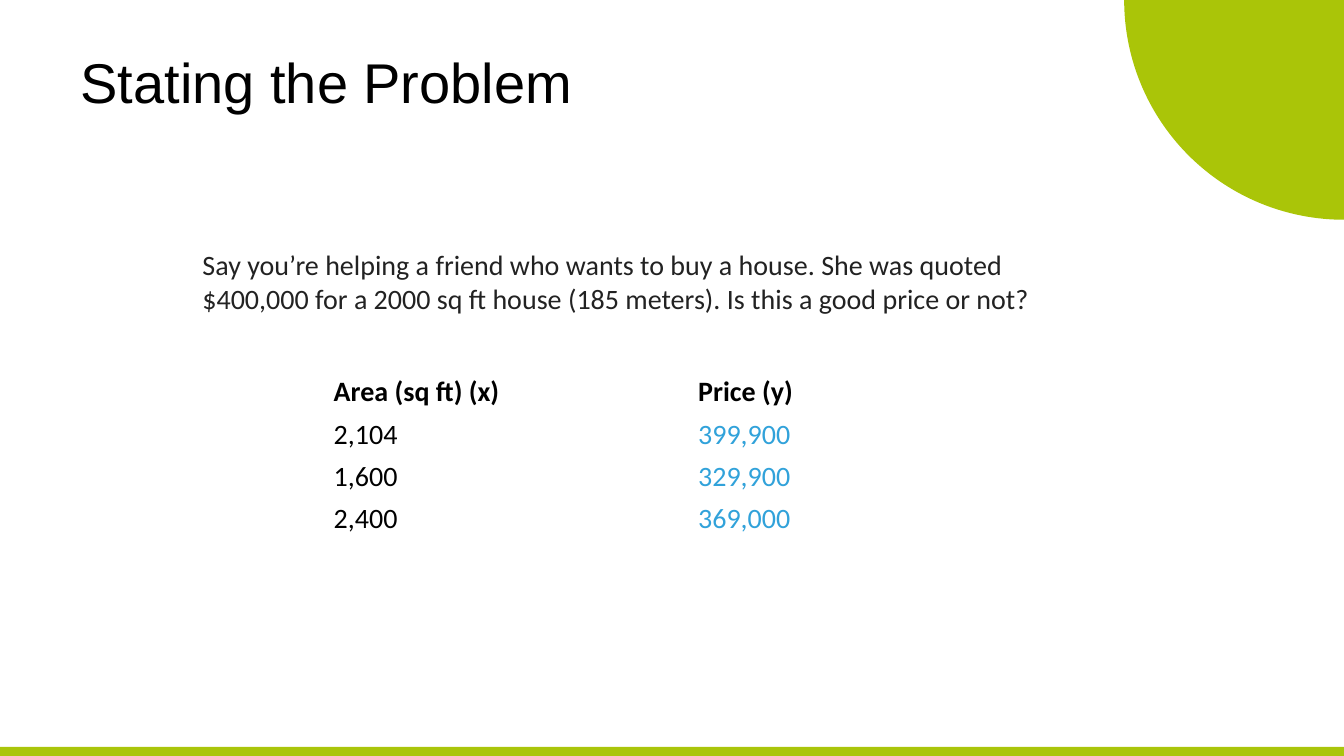
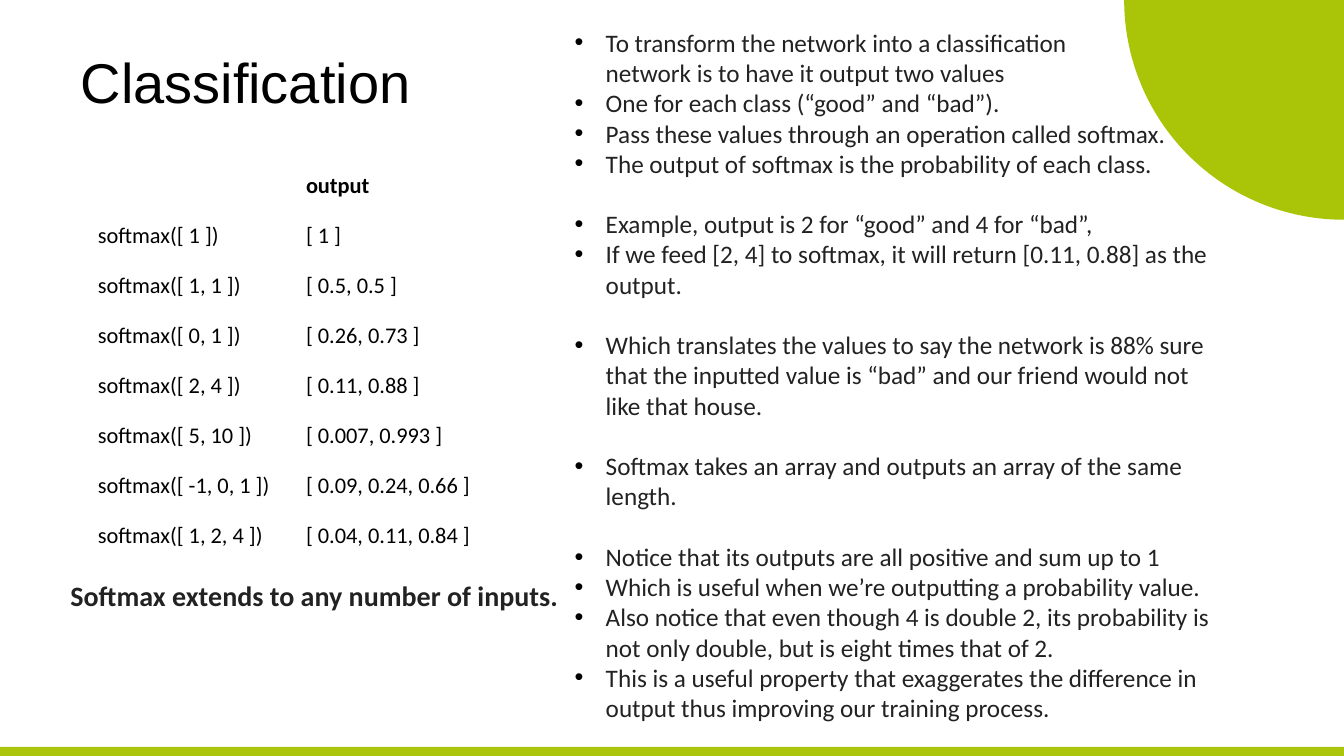
from pptx import Presentation
from pptx.dml.color import RGBColor
from pptx.enum.shapes import MSO_SHAPE
from pptx.enum.text import MSO_ANCHOR, PP_ALIGN
from pptx.oxml import parse_xml
from pptx.oxml.ns import nsdecls
from pptx.util import Inches, Pt

COLORS = {
    "band": "AAC50B",
    "corner": "AAC508",
    "black": "000000",
    "body": "222222",
    "price": "31A2DA",
}
TITLE_FONT = "Arial"
BODY_FONT = "Calibri"
RADIUS = 2.18

slide_specs = [
    {
        "title": "Stating the Problem",
        "table_box": (3.26, 3.68, 7.23, 1.67),
        "table_size": 20,
        "value_color": "price",
        "rows": [
            ("Area (sq ft) (x)", "Price (y)"),
            ("2,104", "399,900"),
            ("1,600", "329,900"),
            ("2,400", "369,000"),
        ],
        "text_box": (1.91, 2.41, 8.57, 0.77),
        "text": "Say you’re helping a friend who wants to buy a house. She was quoted "
                "$400,000 for a 2000 sq ft house (185 meters). Is this a good price or not?",
        "text_bold": False,
    },
    {
        "title": "Classification",
        "table_box": (0.92, 1.59, 4.13, 3.98),
        "table_size": 16,
        "value_color": "black",
        "rows": [
            ("", "output"),
            ("softmax([ 1 ])", "[ 1 ]"),
            ("softmax([ 1, 1 ])", "[ 0.5, 0.5 ]"),
            ("softmax([ 0, 1 ])", "[ 0.26, 0.73 ]"),
            ("softmax([ 2, 4 ])", "[ 0.11, 0.88 ]"),
            ("softmax([ 5, 10 ])", "[ 0.007, 0.993 ]"),
            ("softmax([ -1, 0, 1 ])", "[ 0.09, 0.24, 0.66 ]"),
            ("softmax([ 1, 2, 4 ])", "[ 0.04, 0.11, 0.84 ]"),
        ],
        "text_box": (0.6, 5.69, 5.11, 0.44),
        "text": "Softmax extends to any number of inputs.",
        "text_bold": True,
    },
]

bullet_groups = [
    [
        "To transform the network into a classification\nnetwork is to have it output two values",
        "One for each class (“good” and “bad”).",
        "Pass these values through an operation called softmax.",
        "The output of softmax is the probability of each class.",
    ],
    [
        "Example, output is 2 for “good” and 4 for “bad”,",
        "If we feed [2, 4] to softmax, it will return [0.11, 0.88] as the output.",
    ],
    [
        "Which translates the values to say the network is 88% sure that the inputted "
        "value is “bad” and our friend would not like that house.",
    ],
    ["Softmax takes an array and outputs an array of the same length."],
    [
        "Notice that its outputs are all positive and sum up to 1",
        "Which is useful when we’re outputting a probability value.",
        "Also notice that even though 4 is double 2, its probability is not only double, "
        "but is eight times that of 2.",
        "This is a useful property that exaggerates the difference in output thus "
        "improving our training process.",
    ],
]


def format_text(paragraph, size, color, bold=False, name=BODY_FONT):
    for run in paragraph.runs:
        run.font.name = name
        run.font.size = Pt(size)
        run.font.bold = bold
        run.font.color.rgb = RGBColor.from_string(COLORS[color])


def add_decoration(slide, kind, box, color):
    shape = slide.shapes.add_shape(kind, *map(Inches, box))
    shape.shadow.inherit = False
    shape.fill.solid()
    shape.fill.fore_color.rgb = RGBColor.from_string(COLORS[color])
    shape.line.fill.background()
    return shape


presentation = Presentation()
presentation.slide_width = Inches(13.33)
presentation.slide_height = Inches(7.5)

for content in slide_specs:
    slide = presentation.slides.add_slide(presentation.slide_layouts[5])

    title = slide.shapes.title
    title.left, title.top, title.width, title.height = map(Inches, (0.7, 0.42, 11.57, 1.5))
    title.text_frame.text = content["title"]
    title.text_frame.vertical_anchor = MSO_ANCHOR.TOP
    title_paragraph = title.text_frame.paragraphs[0]
    title_paragraph.alignment = PP_ALIGN.LEFT
    format_text(title_paragraph, 40, "black", name=TITLE_FONT)

    add_decoration(slide, MSO_SHAPE.RECTANGLE, (0, 7.41, 13.33, 0.09), "band")
    corner = add_decoration(
        slide, MSO_SHAPE.PIE, (13.33 - RADIUS, -RADIUS, 2 * RADIUS, 2 * RADIUS), "corner")
    corner.adjustments[0] = 54
    corner.adjustments[1] = 108

    rows = content["rows"]
    table = slide.shapes.add_table(
        len(rows), 2, *map(Inches, content["table_box"])).table
    table.first_row = False
    table.horz_banding = False
    for row_index, row in enumerate(rows):
        for column_index, value in enumerate(row):
            cell = table.cell(row_index, column_index)
            cell.fill.background()
            cell.vertical_anchor = MSO_ANCHOR.MIDDLE
            cell.margin_left = cell.margin_right = Inches(0.05)
            cell.margin_top = cell.margin_bottom = Inches(0.04)
            cell.text_frame.text = value
            is_header = row_index == 0
            is_value = column_index == 1 and not is_header
            format_text(cell.text_frame.paragraphs[0], content["table_size"],
                        content["value_color"] if is_value else "black", is_header)

    text_box = slide.shapes.add_textbox(*map(Inches, content["text_box"]))
    text_box.text_frame.word_wrap = not content["text_bold"]
    text_box.text_frame.text = content["text"]
    format_text(text_box.text_frame.paragraphs[0], 20, "body", content["text_bold"])

bullet_box = slide.shapes.add_textbox(*map(Inches, (5.6, 0.22, 6.67, 7.07)))
bullet_frame = bullet_box.text_frame
bullet_frame.word_wrap = True
for group_index, group in enumerate(bullet_groups):
    for item_index, item in enumerate(group):
        is_first = group_index == 0 and item_index == 0
        paragraph = bullet_frame.paragraphs[0] if is_first else bullet_frame.add_paragraph()
        paragraph.text = item
        properties = paragraph._p.get_or_add_pPr()
        properties.set("marL", str(Inches(0.31)))
        properties.set("indent", str(-Inches(0.31)))
        for bullet_xml in (
            f'<a:buClr {nsdecls("a")}><a:srgbClr val="{COLORS["black"]}"/></a:buClr>',
            f'<a:buFont {nsdecls("a")} typeface="{TITLE_FONT}"/>',
            f'<a:buChar {nsdecls("a")} char="•"/>',
        ):
            properties.append(parse_xml(bullet_xml))
        if group_index > 0 and item_index == 0:
            paragraph.space_before = Pt(21.6)
        format_text(paragraph, 18, "body")

presentation.save("out.pptx")
